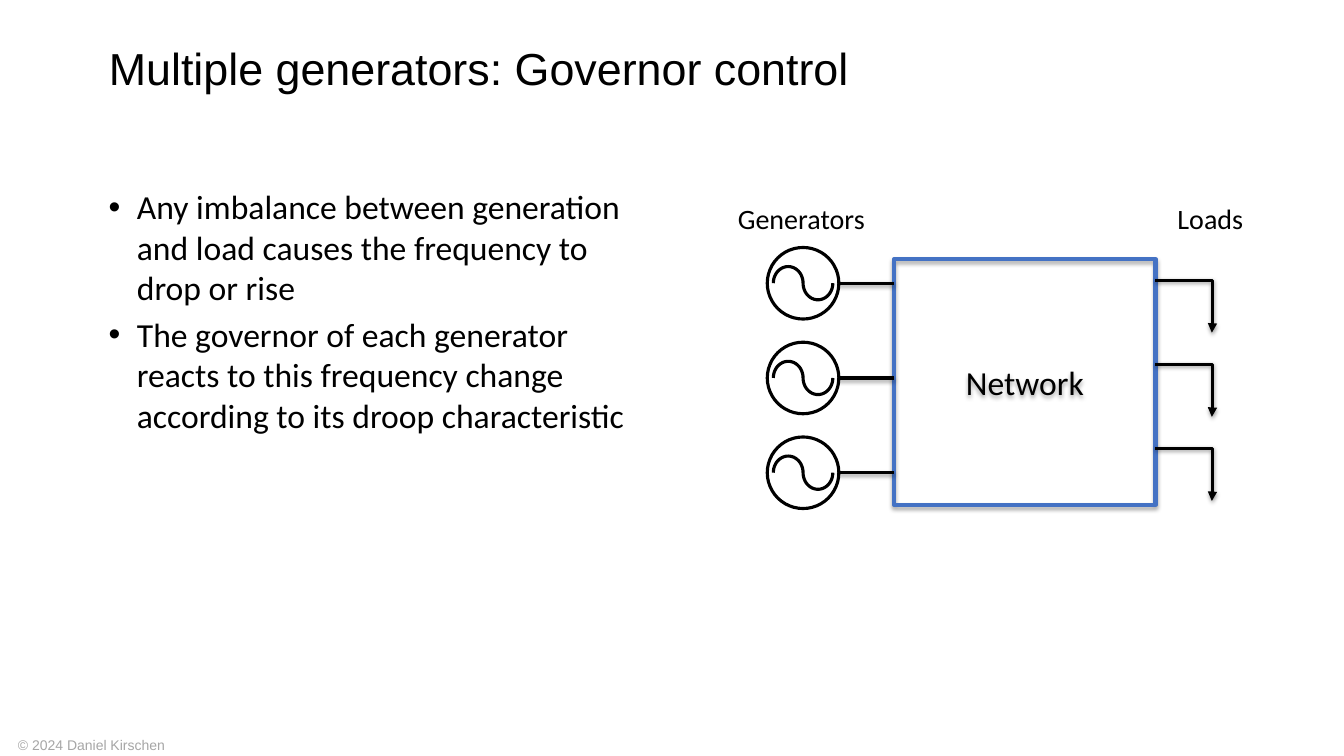
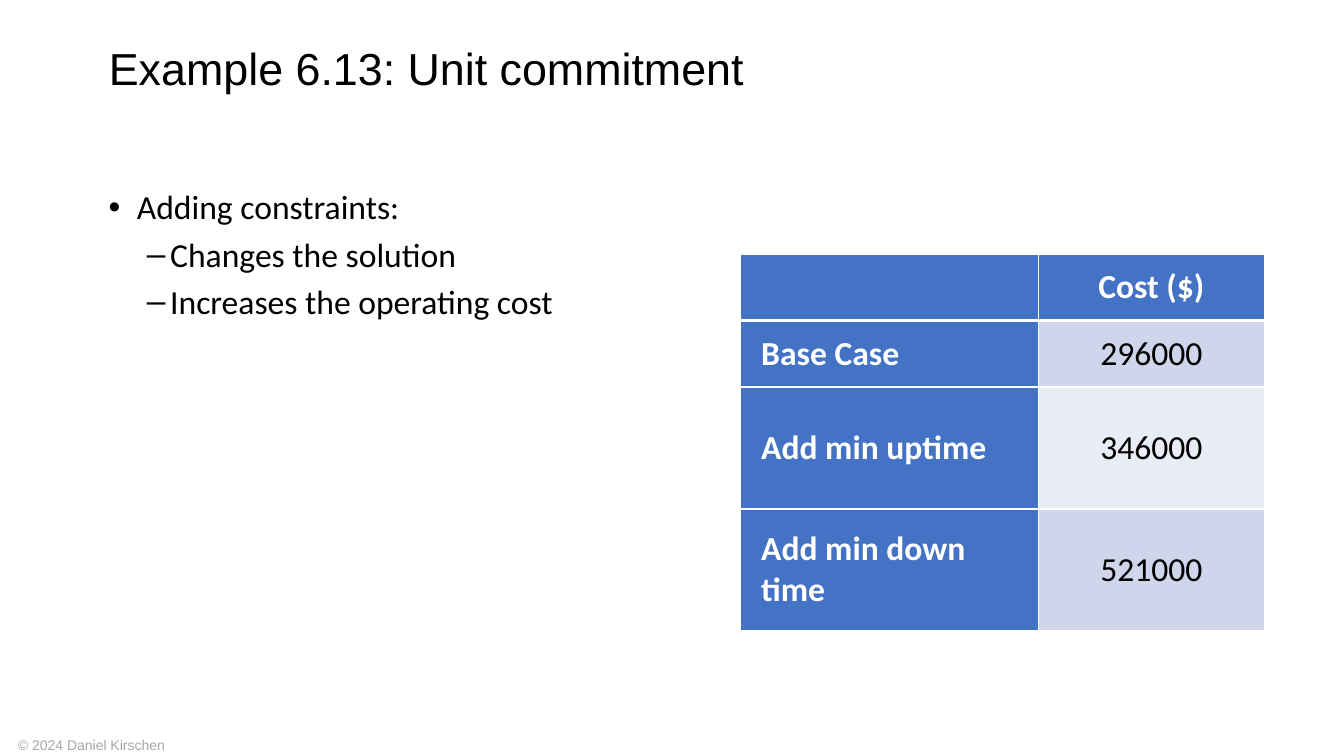
import math
from lxml import etree
from pptx import Presentation
from pptx import util as u
from pptx.dml.color import RGBColor
from pptx.enum import shapes, text
from pptx.oxml.ns import qn

BLACK = RGBColor(0x00, 0x00, 0x00)
WHITE = RGBColor(0xFF, 0xFF, 0xFF)
GREY = RGBColor(0xA6, 0xA6, 0xA6)
BLUE = RGBColor(0x44, 0x72, 0xC4)
BANDS = [RGBColor(0xCF, 0xD5, 0xEA), RGBColor(0xE9, 0xEB, 0xF5)]
HEAD, BODY = "Arial", "Calibri"

FOOTER = "© 2024 Daniel Kirschen"
GOVERNOR = ("Multiple generators: Governor control", [
    (0, "Any imbalance between generation and load causes the frequency to drop or rise"),
    (0, "The governor of each generator reacts to this frequency change "
        "according to its droop characteristic"),
])
COMMITMENT = ("Example 6.13: Unit commitment", [
    (0, "Adding constraints:"),
    (1, "Changes the solution"),
    (1, "Increases the operating cost"),
])
COSTS = [("", "Cost ($)"), ("Base Case", "296000"),
         ("Add min uptime", "346000"), ("Add min down time", "521000")]
COLS, ROWS = (2.96, 2.24), (0.66, 0.66, 1.21, 1.21)
BULLETS = [("•", 0.28, -0.28), ("–", 0.61, -0.23)]
LABELS = [("Generators", 7.22, 1.47), ("Loads", 11.58, 0.86)]

NET = (8.87, 2.57, 2.59, 2.44)
UNITS = 3
GEN_LEFT, GEN_SIZE, GEN_Y, GEN_STEP = 7.61, 0.71, 2.81, 0.94
WAVE_W, WAVE_H, WAVE_STEPS = 0.59, 0.165, 24
LOAD_Y, LOAD_STEP, LOAD_W, LOAD_H = 2.78, 0.835, 0.56, 0.52


def inches(*values):
    return [u.Inches(v) for v in values]


def style(p, size, name=BODY, color=BLACK, bold=False):
    for r in p.runs:
        f = r.font
        f.size, f.name, f.bold = u.Pt(size), name, bold
        f.color.rgb = color


def add_label(s, words, box, size, name=BODY, color=BLACK, wrap=True):
    tf = s.shapes.add_textbox(*inches(*box)).text_frame
    tf.word_wrap = wrap
    tf.text = words
    style(tf.paragraphs[0], size, name, color)


def add_shadow(sp, alpha, dist):
    spPr = sp.element.spPr
    effects = spPr.find(qn("a:effectLst"))
    if effects is None:
        effects = etree.SubElement(spPr, qn("a:effectLst"))
    outer = etree.SubElement(effects, qn("a:outerShdw"), blurRad=str(u.Pt(3.1)),
                             dist=str(u.Pt(dist)), dir="5400000", rotWithShape="0")
    clr = etree.SubElement(outer, qn("a:srgbClr"), val=str(BLACK))
    etree.SubElement(clr, qn("a:alpha"), val=str(alpha * 1000))


def set_line(sp, width=2.25, color=BLACK):
    sp.line.color.rgb = color
    sp.line.width = u.Pt(width)


def add_wire(s, kind, x1, y1, x2, y2):
    c = s.shapes.add_connector(kind, *inches(x1, y1, x2, y2))
    set_line(c)
    add_shadow(c, 38, 1.6)
    return c


def add_slide(prs, title, bullets):
    s = prs.slides.add_slide(prs.slide_layouts[5])
    add_label(s, FOOTER, (0.08, 7.26, 3.32, 0.27), 10, HEAD, GREY)
    t = s.shapes.title
    t.left, t.top, t.width, t.height = inches(0.98, 0.41, 11.71, 0.72)
    tf = t.text_frame
    tf.text = title
    tf.vertical_anchor = text.MSO_ANCHOR.TOP
    tf.auto_size = text.MSO_AUTO_SIZE.NONE
    p = tf.paragraphs[0]
    p.alignment, p.line_spacing = text.PP_ALIGN.LEFT, 0.9
    style(p, 32, HEAD)

    tf = s.shapes.add_textbox(*inches(0.98, 1.8, 5.5, 5.17)).text_frame
    tf.word_wrap = True
    for i, (level, words) in enumerate(bullets):
        p = tf.add_paragraph() if i else tf.paragraphs[0]
        p.text, p.level = words, level
        mark, margin, indent = BULLETS[level]
        pPr = p._p.get_or_add_pPr()
        pPr.set("marL", str(u.Inches(margin)))
        pPr.set("indent", str(u.Inches(indent)))
        etree.SubElement(pPr, qn("a:buFont"), typeface=HEAD)
        etree.SubElement(pPr, qn("a:buChar"), char=mark)
        if i:
            p.space_before = u.Pt(4.8)
        style(p, 24)
    return s


def add_generator(s, y):
    sp = s.shapes.add_shape(shapes.MSO_SHAPE.OVAL,
                            *inches(GEN_LEFT, y - GEN_SIZE / 2, GEN_SIZE, GEN_SIZE))
    sp.shadow.inherit = False
    sp.fill.solid()
    sp.fill.fore_color.rgb = WHITE
    set_line(sp)

    left = GEN_LEFT + (GEN_SIZE - WAVE_W) / 2
    points = []
    for half, sign in enumerate((-1, 1)):
        for k in range(WAVE_STEPS + 1):
            a = math.pi * k / WAVE_STEPS
            points.append((u.Inches(left + WAVE_W / 4 * (2 * half + 1 - math.cos(a))),
                           u.Inches(y + sign * WAVE_H * math.sin(a))))
    fb = s.shapes.build_freeform(*points[0])
    fb.add_line_segments(points[1:], close=False)
    wave = fb.convert_to_shape()
    wave.shadow.inherit = False
    wave.fill.background()
    set_line(wave)
    add_wire(s, shapes.MSO_CONNECTOR.STRAIGHT, GEN_LEFT + GEN_SIZE, y, NET[0], y)


def add_load(s, y):
    x = NET[0] + NET[2]
    c = add_wire(s, shapes.MSO_CONNECTOR.ELBOW, x, y, x + LOAD_W, y + LOAD_H)
    av = c.element.spPr.find(qn("a:prstGeom")).find(qn("a:avLst"))
    etree.SubElement(av, qn("a:gd"), name="adj1", fmla="val 101000")
    etree.SubElement(c.line._get_or_add_ln(), qn("a:tailEnd"), type="triangle")


def add_network(s):
    sp = s.shapes.add_shape(shapes.MSO_SHAPE.RECTANGLE, *inches(*NET))
    sp.shadow.inherit = False
    sp.fill.background()
    set_line(sp, 3, BLUE)
    add_shadow(sp, 35, 1.8)
    tf = sp.text_frame
    tf.text = "Network"
    tf.vertical_anchor = text.MSO_ANCHOR.MIDDLE
    tf.paragraphs[0].alignment = text.PP_ALIGN.CENTER
    style(tf.paragraphs[0], 24)
    for i in range(UNITS):
        add_load(s, LOAD_Y + i * LOAD_STEP)
        add_generator(s, GEN_Y + i * GEN_STEP)
    for words, left, width in LABELS:
        add_label(s, words, (left, 1.95, width, 0.44), 20, wrap=False)


def set_borders(cell, row):
    tcPr = cell._tc.get_or_add_tcPr()
    thick = {"B": row == 0, "T": row == 1}
    for side in "LRTB":
        width = u.Pt(3 if thick.get(side) else 1)
        ln = etree.SubElement(tcPr, qn("a:ln" + side), w=str(width))
        fill = etree.SubElement(ln, qn("a:solidFill"))
        etree.SubElement(fill, qn("a:srgbClr"), val=str(WHITE))


def add_costs(s):
    box = inches(7.34, 2.52, sum(COLS), sum(ROWS))
    table = s.shapes.add_table(len(ROWS), len(COLS), *box).table
    for col, width in zip(table.columns, COLS):
        col.width = u.Inches(width)
    for i, (height, values) in enumerate(zip(ROWS, COSTS)):
        table.rows[i].height = u.Inches(height)
        for j, words in enumerate(values):
            cell = table.cell(i, j)
            header = i == 0 or j == 0
            set_borders(cell, i)
            cell.fill.solid()
            cell.fill.fore_color.rgb = BLUE if header else BANDS[(i - 1) % 2]
            cell.margin_left = cell.margin_right = u.Inches(0.21)
            cell.margin_top = cell.margin_bottom = 0
            cell.vertical_anchor = text.MSO_ANCHOR.MIDDLE
            cell.text = words
            p = cell.text_frame.paragraphs[0]
            p.alignment = text.PP_ALIGN.CENTER if j else text.PP_ALIGN.LEFT
            style(p, 24, color=WHITE if header else BLACK, bold=header)


def main():
    prs = Presentation()
    prs.slide_width, prs.slide_height = inches(13.33, 7.5)
    add_network(add_slide(prs, *GOVERNOR))
    add_costs(add_slide(prs, *COMMITMENT))
    prs.save("out.pptx")


if __name__ == "__main__":
    main()
